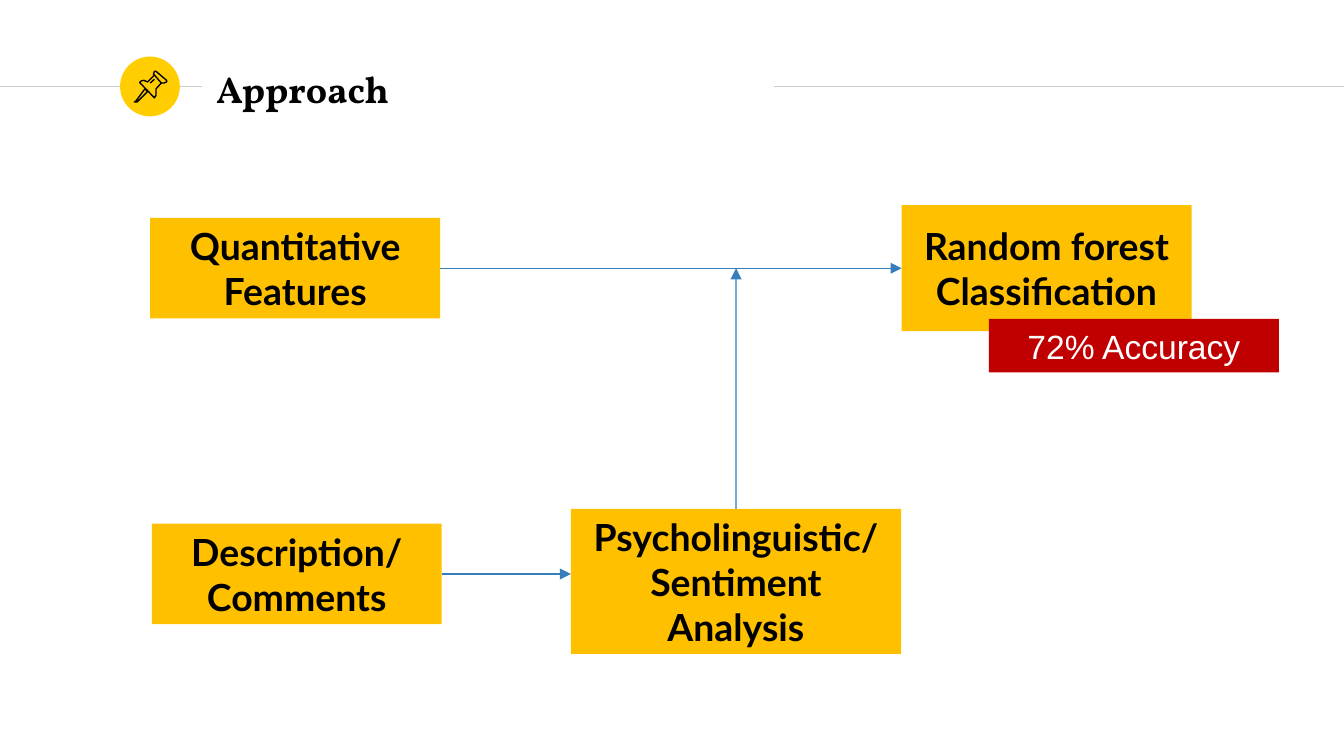
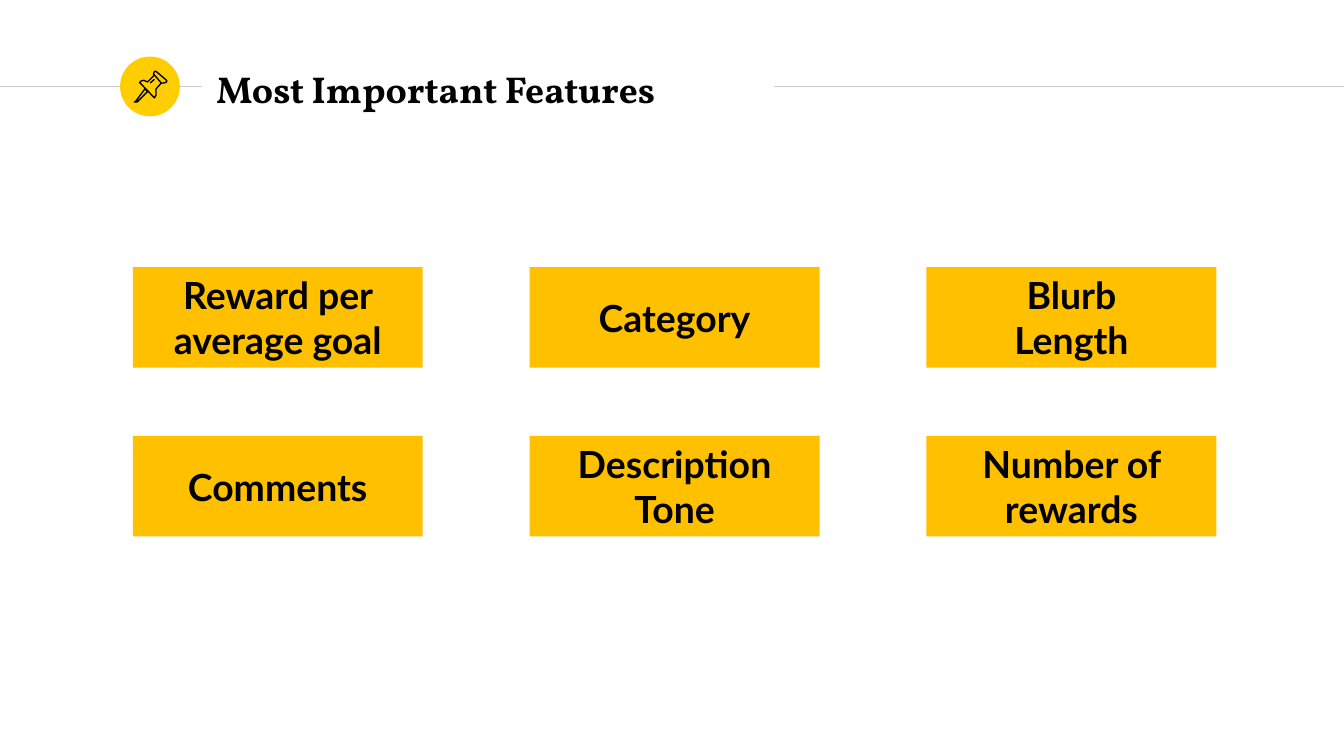
from lxml import etree
from pptx import Presentation
from pptx import util as u
from pptx.dml.color import RGBColor
from pptx.enum import shapes, text
from pptx.oxml.ns import qn

# Content: lengths in cm
APPROACH = "Approach"
STEPS = {  # key: (wording, left, top, width, height)
    "quantitative": ("Quantitative\nFeatures", 2.84, 4.12, 5.48, 1.9),
    "forest": ("Random forest Classification", 17.04, 3.88, 5.48, 2.38),
    "sentiment": ("Psycholinguistic/\nSentiment Analysis", 10.79, 9.62, 6.24, 2.74),
    "description": ("Description/ Comments", 2.87, 9.9, 5.48, 1.9),
}
ACCURACY = ("72% Accuracy", 18.69, 6.03, 5.48, 1.01)

IMPORTANT = "Most Important Features"
FEATURES = [
    ["Reward per average goal", "Category", "Blurb\nLength"],
    ["Comments", "Description\nTone", "Number of rewards"],
]

# Shared look
BLACK, WHITE, GRAY, BLUE = "000000", "FFFFFF", "CCCCCC", "367EB9"
YELLOW, AMBER, RED = "FFCD00", "FFC000", "C00000"
WIDTH, HEIGHT = 25.4, 14.29
RULE_Y = 1.64
RULES = [(0, 3.81), (14.63, WIDTH)]
# Pushpin outlines in hundredths of a cm: (closed, points)
PIN = [
    (True, [(274, 168), (257, 191), (254, 193), (259, 193), (279, 173)]),
    (True, [(292, 142), (305, 157), (310, 157), (315, 155), (315, 152),
            (295, 135), (292, 135), (290, 140)]),
    (False, [(292, 142), (279, 155), (272, 152), (267, 153), (264, 156),
             (290, 183), (292, 185), (295, 180), (295, 168), (305, 157)]),
    (False, [(284, 157), (292, 150)]),
]


def color(value):
    return RGBColor.from_string(value)


def write(shape, wording, font="Lato", size=20, bold=True, ink=BLACK,
          align=text.PP_ALIGN.CENTER, inset=(0.25, 0.13)):
    frame = shape.text_frame
    frame.text = wording
    frame.word_wrap = True
    frame.auto_size = text.MSO_AUTO_SIZE.NONE
    frame.vertical_anchor = text.MSO_ANCHOR.MIDDLE
    frame.margin_left = frame.margin_right = u.Cm(inset[0])
    frame.margin_top = frame.margin_bottom = u.Cm(inset[1])
    for paragraph in frame.paragraphs:
        paragraph.alignment = align
        for run in paragraph.runs:
            run.font.name, run.font.size, run.font.bold = font, u.Pt(size), bold
            run.font.color.rgb = color(ink)


def add_block(slide, left, top, width, height, fill=AMBER,
              preset=shapes.MSO_SHAPE.RECTANGLE):
    block = slide.shapes.add_shape(preset, *map(u.Cm, (left, top, width, height)))
    block.shadow.inherit = False
    block.fill.solid()
    block.fill.fore_color.rgb = color(fill)
    block.line.fill.background()
    return block


def add_line(slide, x1, y1, x2, y2, ink=GRAY, arrow=False):
    line = slide.shapes.add_connector(
        shapes.MSO_CONNECTOR.STRAIGHT, *map(u.Cm, (x1, y1, x2, y2)))
    line.line.color.rgb = color(ink)
    line.line.width = u.Pt(0.75)
    if arrow:
        etree.SubElement(line.line._get_or_add_ln(), qn("a:tailEnd"), type="triangle")
    etree.SubElement(line._element.spPr, qn("a:effectLst"))
    return line


def add_pin(slide):
    pin = slide.shapes.add_group_shape()
    for closed, points in PIN:
        builder = pin.shapes.build_freeform(*points[0], scale=u.Cm(1) / 100)
        builder.add_line_segments(points[1:], close=closed)
        outline = builder.convert_to_shape()
        outline.shadow.inherit = False
        outline.fill.background()
        outline.line.color.rgb = color(BLACK)
        outline.line.width = u.Pt(0.75)


def add_titled_slide(deck, heading):
    slide = deck.slides.add_slide(deck.slide_layouts[5])
    for start, end in RULES:
        add_line(slide, start, RULE_Y, end, RULE_Y)
    add_block(slide, 2.27, 1.07, 1.13, 1.13, YELLOW, shapes.MSO_SHAPE.OVAL)
    add_pin(slide)
    title = slide.shapes.title
    title.left, title.top, title.width, title.height = map(
        u.Cm, (3.84, 1.07, 10.77, 1.22))
    write(title, heading, font="Vollkorn", align=text.PP_ALIGN.LEFT,
          inset=(0.25, 0.25))
    return slide


def build_approach(deck):
    slide = add_titled_slide(deck, APPROACH)
    steps = {}
    for key, (wording, *place) in STEPS.items():
        steps[key] = add_block(slide, *place)
        write(steps[key], wording)

    # Arrows between the steps
    def middle(key):
        _, left, top, width, height = STEPS[key]
        return left + width / 2, top + height / 2

    main_y, lower_y = middle("quantitative")[1], middle("description")[1]
    join_x = middle("sentiment")[0]
    top_of_sentiment = STEPS["sentiment"][2]
    sentiment_left, forest_left = STEPS["sentiment"][1], STEPS["forest"][1]

    classify = add_line(slide, 0, main_y, forest_left, main_y, BLUE, arrow=True)
    classify.begin_connect(steps["quantitative"], 3)
    classify.end_connect(steps["forest"], 1)
    merge = add_line(slide, join_x, top_of_sentiment, join_x, main_y, BLUE, arrow=True)
    merge.begin_connect(steps["sentiment"], 0)
    analyse = add_line(slide, 0, lower_y, sentiment_left, lower_y, BLUE, arrow=True)
    analyse.begin_connect(steps["description"], 3)

    # Result badge
    wording, *place = ACCURACY
    write(add_block(slide, *place, fill=RED), wording, font="Arial", size=18,
          bold=False, ink=WHITE, inset=(0.33, 0.18))


def build_features(deck):
    slide = add_titled_slide(deck, IMPORTANT)
    for row, wordings in enumerate(FEATURES):
        for column, wording in enumerate(wordings):
            feature = add_block(slide, 2.51 + 7.5 * column, 5.05 + 3.19 * row, 5.48, 1.9)
            write(feature, wording)


def main():
    deck = Presentation()
    deck.slide_width, deck.slide_height = u.Cm(WIDTH), u.Cm(HEIGHT)
    build_approach(deck)
    build_features(deck)
    deck.save("out.pptx")


if __name__ == "__main__":
    main()
